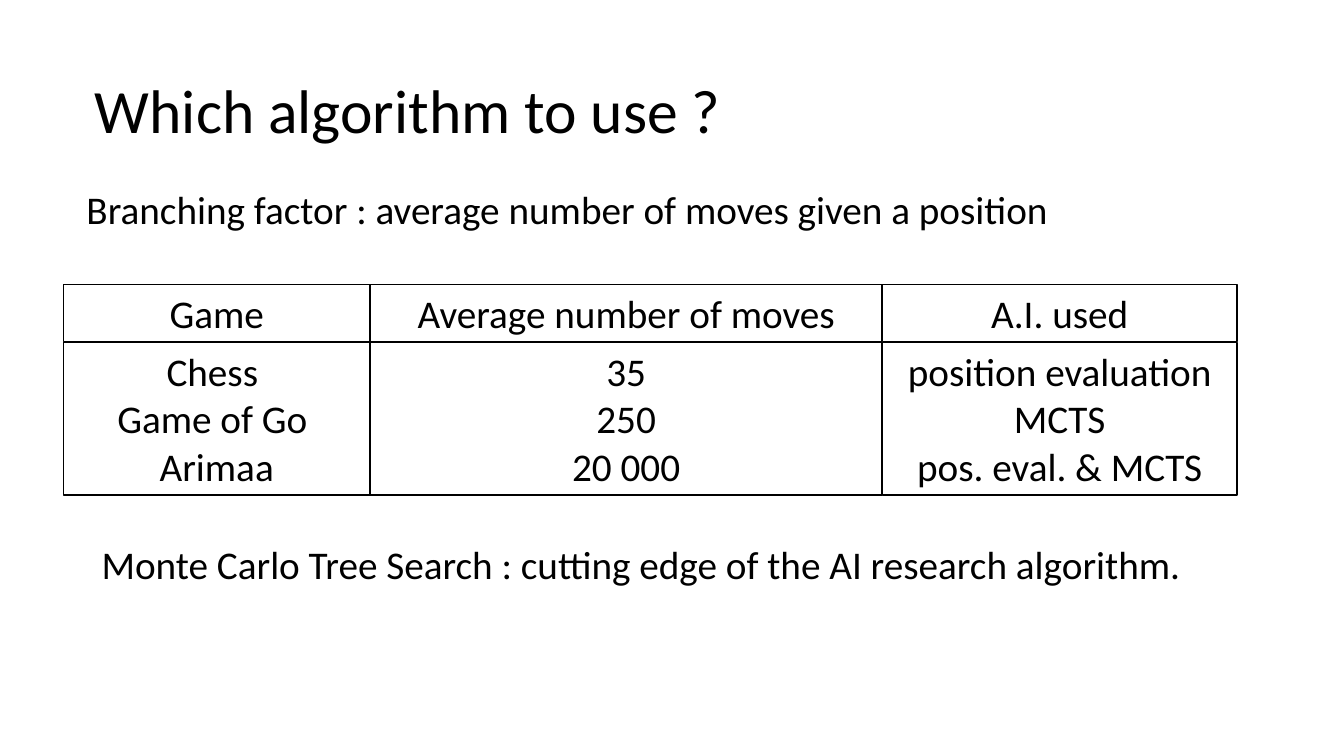
from pptx import Presentation
from pptx.dml.color import RGBColor
from pptx.enum import shapes, text
from pptx.util import Inches, Pt

FONT = "Calibri"
COLORS = {"ink": "000000", "paper": "FFFFFF"}

TITLE = ("Which algorithm to use ?", (0.84, 0.4, 11.5, 1.45), 44)
STATEMENTS = [
    ("Branching factor : average number of moves given a position",
     (0.76, 1.84, 11.5, 1.6), 28),
    ("Monte Carlo Tree Search : cutting edge of the AI research algorithm.",
     (0.91, 5.36, 11.5, 1.6), 28),
]
# Width, heading and entries of each column
COLUMNS = [
    (3.04, "Game", ["Chess ", "Game of Go ", "Arimaa"]),
    (5.08, "Average number of moves", ["35", "250", "20 000"]),
    (3.52, "A.I. used", ["position evaluation", "MCTS", "pos. eval. & MCTS"]),
]
GRID_LEFT = 0.63
HEADING_TOP, HEADING_HEIGHT = 2.82, 0.57
ENTRIES_TOP, ENTRIES_HEIGHT = 3.4, 1.51


def fill_box(sp, lines, size, anchor, align, spacing):
    tf = sp.text_frame
    tf.word_wrap = True
    tf.auto_size = text.MSO_AUTO_SIZE.NONE
    tf.vertical_anchor = anchor
    tf.text = "\n".join(lines)
    for p in tf.paragraphs:
        p.alignment = align
        p.line_spacing = spacing
        p.font.name = FONT
        p.font.size = Pt(size)
        p.font.color.rgb = RGBColor.from_string(COLORS["ink"])


def add_cell(slide, lines, box):
    sp = slide.shapes.add_shape(shapes.MSO_SHAPE.RECTANGLE, *map(Inches, box))
    sp.shadow.inherit = False
    sp.fill.solid()
    sp.fill.fore_color.rgb = RGBColor.from_string(COLORS["paper"])
    sp.line.color.rgb = RGBColor.from_string(COLORS["ink"])
    sp.line.width = Pt(1)
    fill_box(sp, lines, 28, text.MSO_ANCHOR.TOP, text.PP_ALIGN.CENTER, 1.0)


def main():
    prs = Presentation()
    prs.slide_width, prs.slide_height = Inches(13.33), Inches(7.5)
    slide = prs.slides.add_slide(prs.slide_layouts[5])

    content, box, size = TITLE
    title = slide.shapes.title
    title.left, title.top, title.width, title.height = map(Inches, box)
    fill_box(title, [content], size, text.MSO_ANCHOR.MIDDLE,
             text.PP_ALIGN.LEFT, 0.9)

    for content, box, size in STATEMENTS:
        sp = slide.shapes.add_textbox(*map(Inches, box))
        fill_box(sp, [content], size, text.MSO_ANCHOR.TOP,
                 text.PP_ALIGN.LEFT, 0.9)

    left = GRID_LEFT
    for width, heading, entries in COLUMNS:
        add_cell(slide, entries, (left, ENTRIES_TOP, width, ENTRIES_HEIGHT))
        add_cell(slide, [heading], (left, HEADING_TOP, width, HEADING_HEIGHT))
        left += width

    prs.save("out.pptx")


if __name__ == "__main__":
    main()
